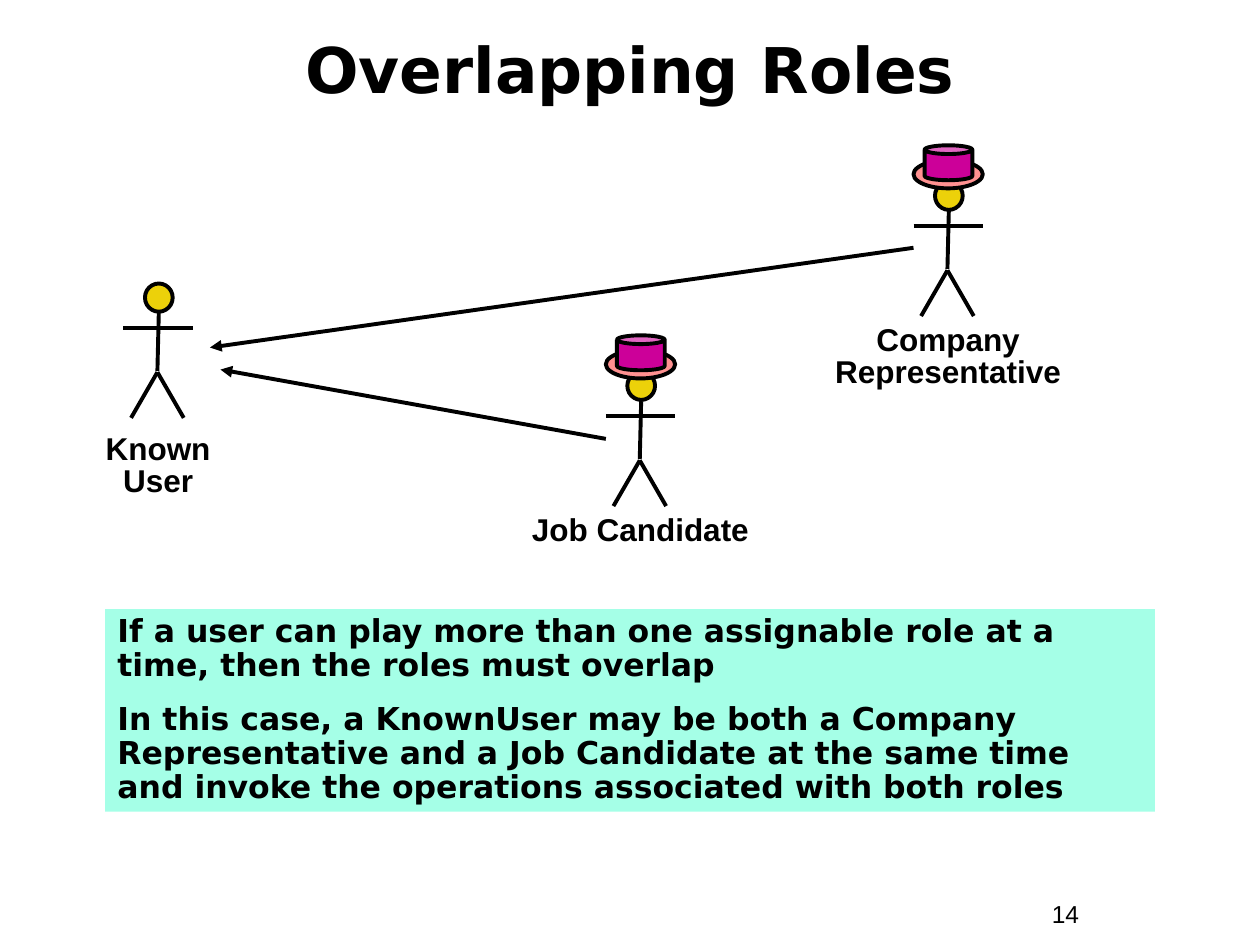
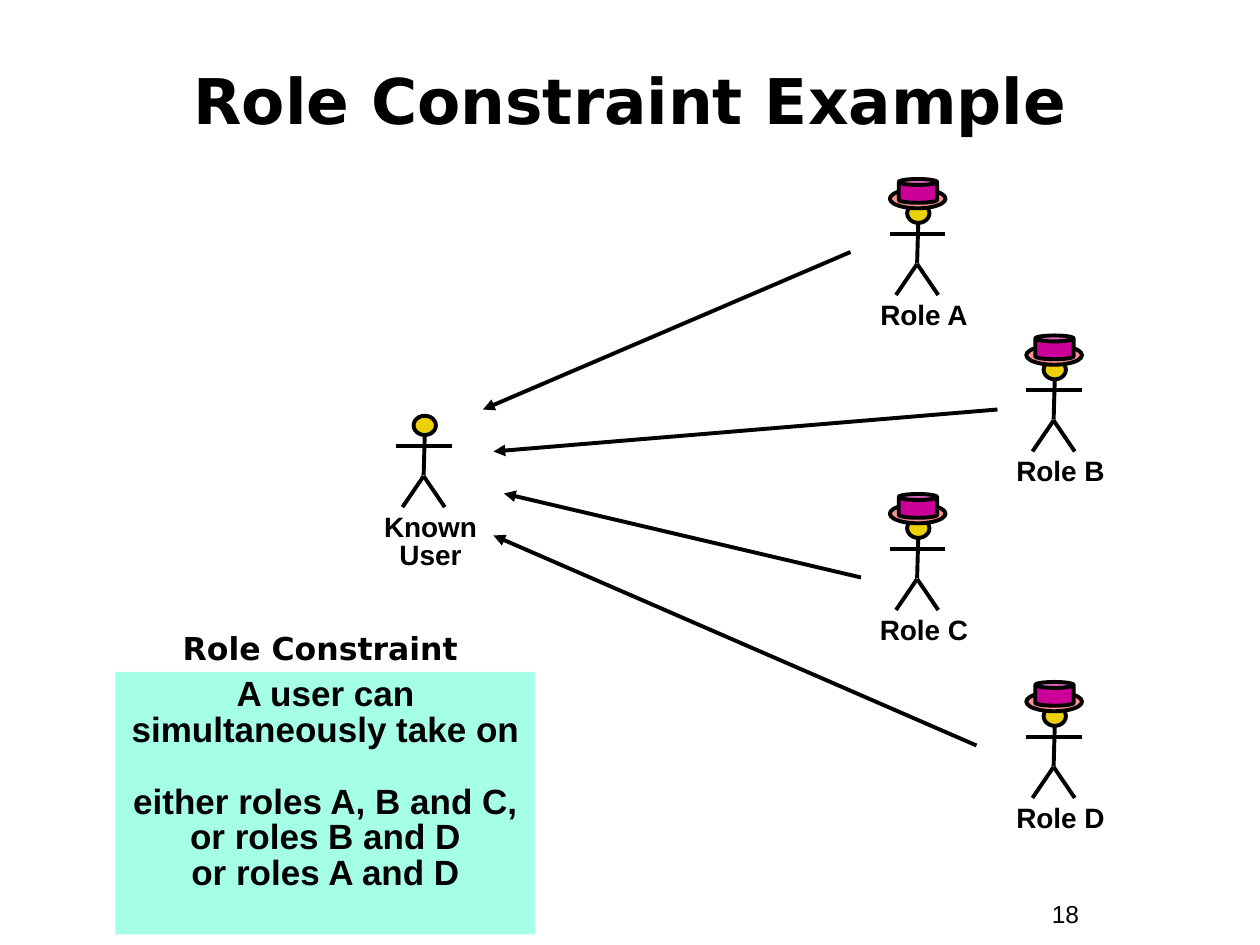
from pptx import Presentation
from pptx.dml.color import RGBColor
from pptx.enum.shapes import MSO_CONNECTOR, MSO_SHAPE
from pptx.enum.text import MSO_ANCHOR, MSO_AUTO_SIZE, PP_ALIGN
from pptx.oxml.ns import qn
from pptx.util import Inches, Pt
from lxml.etree import SubElement

BLACK = RGBColor(0x00, 0x00, 0x00)
MINT = RGBColor(0xA5, 0xFF, 0xE7)
GOLD = RGBColor(0xEC, 0xD1, 0x0A)
PINK = RGBColor(0xFF, 0x91, 0x91)
PLUM = RGBColor(0xCC, 0x00, 0x99)
SANS, WIDE = "Arial", "DejaVu Sans"
WIDTH, HEIGHT = Inches(10), Inches(7.5)
COLS, ROWS = 120, 90
PEN = Pt(2.25)
LIMBS = [
    (0.51, 0.22, 0.49, 0.65),
    (0.11, 1, 0.49, 0.66),
    (0.87, 1, 0.49, 0.66),
    (0, 0.33, 1, 0.33),
]


def place(*cells):
    """Turn alternating columns and rows into lengths on the slide."""
    steps = (WIDTH / COLS, HEIGHT / ROWS)
    return [round(cell * steps[i % 2]) for i, cell in enumerate(cells)]


def write(shape, text, size=18, font=SANS, bold=True, align=PP_ALIGN.CENTER,
          anchor=MSO_ANCHOR.TOP, lead=1.0, gap=0):
    """Fill a shape with one paragraph per line of text."""
    frame = shape.text_frame
    frame.word_wrap = True
    frame.auto_size = MSO_AUTO_SIZE.NONE
    frame.vertical_anchor = anchor
    frame.text = text
    for i, para in enumerate(frame.paragraphs):
        para.alignment = align
        para.line_spacing = lead
        para.space_before = Pt(gap if i else 0)
        for face in [para.font] + [run.font for run in para.runs]:
            face.size, face.name, face.bold = Pt(size), font, bold
            face.color.rgb = BLACK


def label(slide, box, text, **style):
    """Add a text box."""
    write(slide.shapes.add_textbox(*place(*box)), text, **style)


def solid(shapes, kind, box, fill, edge=True):
    """Add a filled preset shape, outlined or not."""
    shape = shapes.add_shape(kind, *place(*box))
    shape.shadow.inherit = False
    shape.fill.solid()
    shape.fill.fore_color.rgb = fill
    if edge:
        shape.line.color.rgb = BLACK
        shape.line.width = PEN
    else:
        shape.line.fill.background()
    return shape


def stroke(shapes, ends, arrow=False):
    """Draw a straight line, with an arrowhead at its end if asked."""
    line = shapes.add_connector(MSO_CONNECTOR.STRAIGHT, *place(*ends))
    line.line.color.rgb = BLACK
    line.line.width = PEN
    if arrow:
        SubElement(line.line._get_or_add_ln(), qn("a:tailEnd"), type="triangle")
    SubElement(line._element.spPr, qn("a:effectLst"))


def actor(slide, box, hat=True):
    """Draw a stick figure in a box, with a hat above it for a role."""
    left, top, wide, high = box
    parts = slide.shapes.add_group_shape().shapes

    def part(kind, x, y, w, h, fill):
        """Add a solid part given in shares of the box."""
        solid(parts, kind, (left + x * wide, top + y * high, w * wide, h * high), fill)

    part(MSO_SHAPE.OVAL, 0.31, 0, 0.4, 0.21, GOLD)
    for x1, y1, x2, y2 in LIMBS:
        stroke(parts, (left + x1 * wide, top + y1 * high,
                       left + x2 * wide, top + y2 * high))
    if hat:
        part(MSO_SHAPE.OVAL, 0, -0.16, 1, 0.21, PINK)
        part(MSO_SHAPE.CAN, 0.16, -0.27, 0.69, 0.26, PLUM)


def person(slide, box, name, hat=True, span=14, size=16, drop=0.1, shift=0.6):
    """Draw a figure with its name centred below."""
    left, top, wide, high = box
    actor(slide, box, hat)
    label(slide, (left + wide / 2 + shift - span / 2, top + high + drop, span, 4),
          name, size=size, lead=0.85)


def panel(slide, box, text, **style):
    """Add a mint panel of text."""
    write(solid(slide.shapes, MSO_SHAPE.RECTANGLE, box, MINT, edge=False), text, **style)


def start(deck, title, box, number):
    """Add a slide with its title and page number."""
    slide = deck.slides.add_slide(deck.slide_layouts[5])
    head = slide.shapes.title
    head.left, head.top, head.width, head.height = place(*box)
    write(head, title, size=36, font=WIDE, anchor=MSO_ANCHOR.MIDDLE)
    label(slide, (99, 85, 11, 4), number, size=14, bold=False, align=PP_ALIGN.LEFT)
    return slide


def overlap(deck):
    """Build the slide on overlapping roles."""
    slide = start(deck, "Overlapping Roles", (4, 1.5, 112, 10), "14")
    for left, top, name, hat, span, drop in [
        (11.76, 27, "Known\vUser", False, 18, 1),
        (87, 17.3, "Company\vRepresentative", True, 24, 0.3),
        (57.7, 35.4, "Job Candidate", True, 24, 0.3),
    ]:
        person(slide, (left, top, 6.6, 12.8), name, hat, span, 18, drop, 0)
    for ends in [(87, 23.6, 20, 33.1), (57.7, 41.8, 21, 35.2)]:
        stroke(slide.shapes, ends, arrow=True)
    panel(slide, (10, 58, 100, 19.3),
          "If a user can play more than one assignable role at a time, "
          "then the roles must overlap\n"
          "In this case, a KnownUser may be both a Company Representative "
          "and a Job Candidate at the same time and invoke the operations "
          "associated with both roles",
          font=WIDE, align=PP_ALIGN.LEFT, lead=0.9, gap=11.2)


def limit(deck):
    """Build the slide with the role constraint."""
    slide = start(deck, "Role Constraint Example", (4, 4, 112, 11), "18")
    panel(slide, (11, 64, 40, 25),
          "A user can simultaneously take on\n"
          "either roles A, B and C,\vor roles B and D\vor roles A and D",
          size=20, lead=0.85, gap=20.5)
    for i, (mark, top) in enumerate(zip("ABCD", (19.4, 34.3, 49.4, 67.3))):
        person(slide, (84.75 + 13 * (i % 2), top, 5.3, 8.7), f"Role {mark}")
    person(slide, (37.75, 39.6, 5.3, 8.7), "Known\vUser", hat=False)
    for ends in [(81, 24, 46, 39), (95, 39, 47, 43),
                 (82, 55, 48, 47), (93, 71, 47, 51)]:
        stroke(slide.shapes, ends, arrow=True)
    label(slide, (14, 60, 33, 4), "Role Constraint", font=WIDE, lead=0.8)


def main():
    """Build and save the deck."""
    deck = Presentation()
    deck.slide_width, deck.slide_height = WIDTH, HEIGHT
    overlap(deck)
    limit(deck)
    deck.save("out.pptx")


if __name__ == "__main__":
    main()
